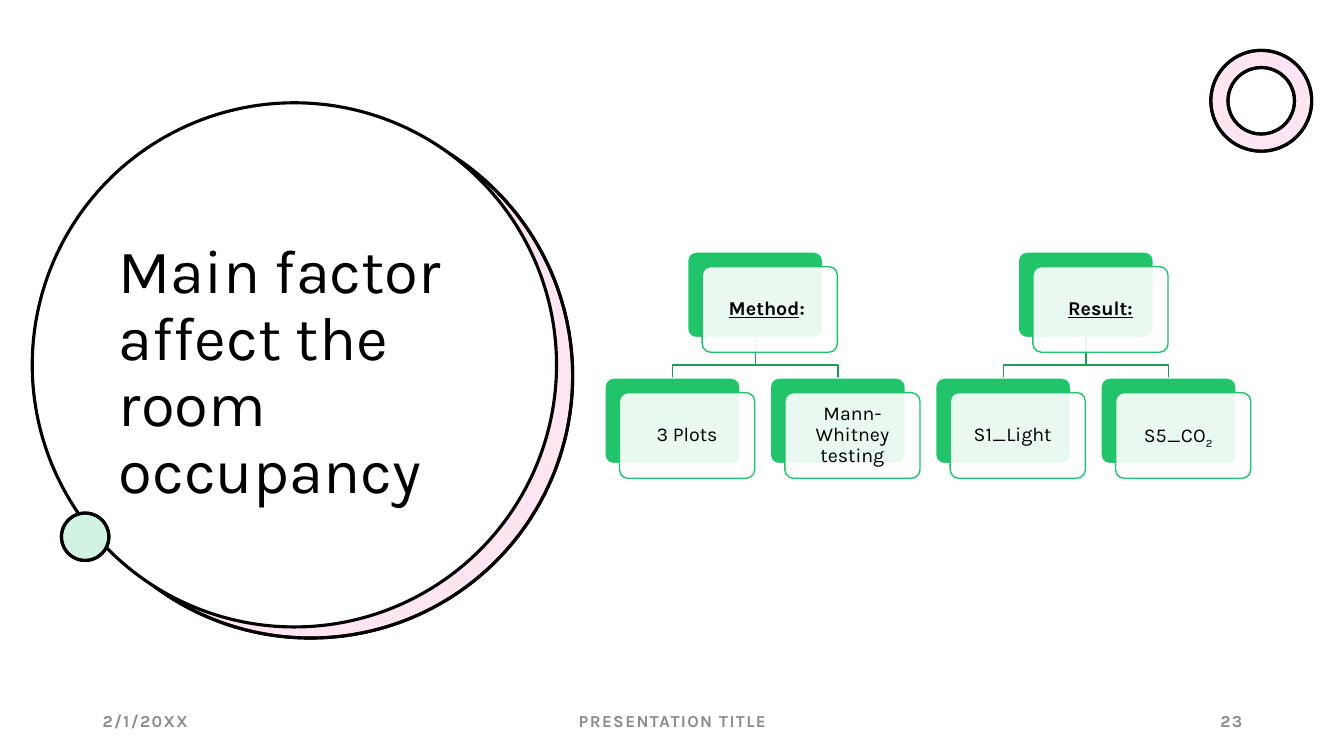
import pptx
import pptx.util
import pptx.dml.color
import pptx.enum.shapes
import pptx.enum.text
import pptx.oxml.ns
from lxml import etree

Inches = pptx.util.Inches
Pt = pptx.util.Pt
SHAPE = pptx.enum.shapes.MSO_SHAPE
ALIGN = pptx.enum.text.PP_ALIGN
ANCHOR = pptx.enum.text.MSO_ANCHOR

COLORS = {
    "white": "FFFFFF",
    "black": "000000",
    "pink": "FF80BD",
    "green": "21C46B",
    "branch": "1A9D56",
    "footer": "8C8C8C",
}
FONT = "Karla"


def rgb(name):
    return pptx.dml.color.RGBColor.from_string(COLORS[name])


def set_format(target, values):
    for name, value in values.items():
        setattr(target, name, value)


def add_shape(page, kind, box, fill, line, width, opacity=100, adjust=None):
    shape = page.shapes.add_shape(kind, *map(Inches, box))
    shape.shadow.inherit = False
    shape.fill.solid()
    shape.fill.fore_color.rgb = rgb(fill)
    shape.line.color.rgb = rgb(line)
    shape.line.width = Pt(width)
    if adjust is not None:
        shape.adjustments[0] = adjust
    if opacity < 100:
        color = shape.fill._xPr.find(".//" + pptx.oxml.ns.qn("a:srgbClr"))
        alpha = etree.SubElement(color, pptx.oxml.ns.qn("a:alpha"))
        alpha.set("val", str(opacity * 1000))
    return shape


def write_text(shape, spans, size, color="black", bold=False, align=ALIGN.LEFT,
               line_spacing=None, tracking=0):
    """Fill a shape with one paragraph; spans are (text, extra font values, baseline)."""
    frame = shape.text_frame
    set_format(frame, {"word_wrap": True, "vertical_anchor": ANCHOR.MIDDLE})
    para = frame.paragraphs[0]
    set_format(para, {"alignment": align, "line_spacing": line_spacing})
    for text, extra, baseline in spans:
        span = para.add_run()
        span.text = text
        set_format(span.font, {"name": FONT, "size": Pt(size), "bold": bold, **extra})
        span.font.color.rgb = rgb(color)
        properties = span.font._element
        if tracking:
            properties.set("spc", str(tracking * 100))
        if baseline:
            properties.set("baseline", str(baseline * 1000))


def add_tinted(page, kind, box, tint, adjust=None):
    """White base with a pale tint of the same outline over it."""
    add_shape(page, kind, box, "white", "black", 2.25, adjust=adjust)
    add_shape(page, kind, box, tint, "black", 2.25, 20, adjust)


def draw_title_circle(page, left, top, size):
    add_tinted(page, SHAPE.OVAL, (left + 0.16, top + 0.11, size, size), "pink")
    add_shape(page, SHAPE.OVAL, (left, top, size, size), "white", "black", 2.25)
    add_tinted(page, SHAPE.OVAL, (left + 0.29, top + 4.07, 0.47, 0.47), "green")
    title = page.shapes.add_textbox(
        *map(Inches, (left + 0.76, top + 0.83, 3.5, 3.71)))
    write_text(title, [("Main factor affect the room occupancy", {}, 0)], 44,
               line_spacing=0.9)


def draw_footer(page, left, top, width, height):
    parts = [
        ("2/1/20XX", 0, 3, ALIGN.LEFT),
        ("PRESENTATION TITLE", 3.5, 4.5, ALIGN.CENTER),
        ("23", width - 3, 3, ALIGN.RIGHT),
    ]
    for text, offset, part_width, align in parts:
        box = page.shapes.add_textbox(
            *map(Inches, (left + offset, top, part_width, height)))
        write_text(box, [(text, {}, 0)], 12, "footer", True, align, tracking=1)


CARD_WIDTH, CARD_HEIGHT, CARD_OFFSET = 1.34, 0.85, 0.145
COLUMN_STEP, LEVEL_STEP = 1.64, 1.25

# Each node: spans, extra right inset
TREES = [
    (([("Method", {"underline": True}, 0), (":", {}, 0)], 0.06),
     [([("3 Plots", {}, 0)], 0),
      ([("Mann-Whitney testing", {}, 0)], 0)]),
    (([("Result:", {"underline": True}, 0)], 0),
     [([("S1_Light", {}, 0)], 0.1),
      ([("S5_CO", {}, 0), ("2", {}, -25)], 0.1)]),
]


def draw_branch(page, start_x, start_y, end_x, end_y):
    bend_y = end_y - 0.13
    builder = page.shapes.build_freeform(
        Inches(start_x), Inches(start_y), scale=1.0)
    corners = [(start_x, bend_y), (end_x, bend_y), (end_x, end_y)]
    builder.add_line_segments(
        [(Inches(x), Inches(y)) for x, y in corners], close=False)
    branch = builder.convert_to_shape()
    branch.shadow.inherit = False
    branch.fill.background()
    branch.line.color.rgb = rgb("branch")
    branch.line.width = Pt(1)


def draw_card(page, left, top, node, bold):
    spans, extra_inset = node
    add_shape(page, SHAPE.ROUNDED_RECTANGLE, (left, top, CARD_WIDTH, CARD_HEIGHT),
              "green", "white", 1, adjust=0.1)
    front = add_shape(
        page, SHAPE.ROUNDED_RECTANGLE,
        (left + CARD_OFFSET, top + CARD_OFFSET, CARD_WIDTH, CARD_HEIGHT),
        "white", "green", 1, 90, 0.1)
    set_format(front.text_frame, {
        "margin_left": Inches(0.08), "margin_right": Inches(0.08 + extra_inset),
        "margin_top": Inches(0.08), "margin_bottom": Inches(0.08)})
    write_text(front, spans, 14, bold=bold, align=ALIGN.CENTER, line_spacing=0.9)


def draw_tree(page, left, top, parent, children):
    parent_left = left + COLUMN_STEP * (len(children) - 1) / 2
    child_top = top + LEVEL_STEP
    child_lefts = [left + COLUMN_STEP * index for index in range(len(children))]
    for child_left in child_lefts:
        draw_branch(page, parent_left + CARD_WIDTH / 2, top + CARD_HEIGHT,
                    child_left + CARD_WIDTH / 2, child_top)
    draw_card(page, parent_left, top, parent, True)
    for child_left, child in zip(child_lefts, children):
        draw_card(page, child_left, child_top, child, False)


def main():
    deck = pptx.Presentation()
    set_format(deck, {"slide_width": Inches(13.33), "slide_height": Inches(7.5)})
    page = deck.slides.add_slide(deck.slide_layouts[6])
    page.background.fill.solid()
    page.background.fill.fore_color.rgb = rgb("white")

    # Title circle and corner ring
    draw_title_circle(page, 0.32, 1.02, 5.2)
    add_tinted(page, SHAPE.DONUT, (12.01, 0.5, 1, 1), "pink", 0.17)

    # Footer
    draw_footer(page, 0.92, 6.95, 11.5, 0.4)

    # Method and result trees
    for index, (parent, children) in enumerate(TREES):
        draw_tree(page, 6 + 2 * COLUMN_STEP * index, 2.5, parent, children)

    deck.save("out.pptx")


if __name__ == "__main__":
    main()
